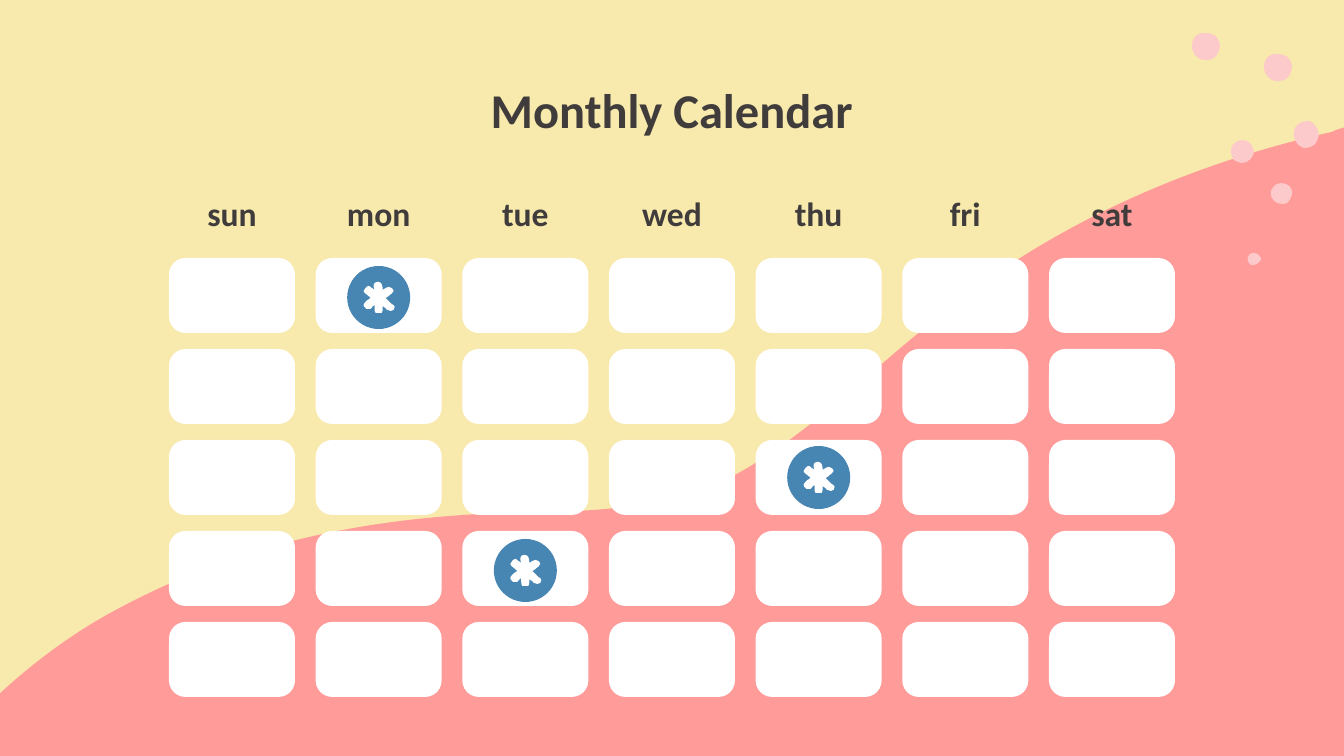
import pptx
import pptx.util
import pptx.dml.color
import pptx.enum.shapes
import pptx.enum.text
import pptx.oxml
import pptx.oxml.ns
import lxml.etree

SCALE = 9144000 / 1344
HEX = {"sand": "F8E9AC", "coral": "FF9B99", "blush": "FCCACA",
       "ink": "3F3C3B", "white": "FFFFFF", "blue": "4785B3"}
KIND = pptx.enum.shapes.MSO_SHAPE
FRAME = {"word_wrap": True,
         "vertical_anchor": pptx.enum.text.MSO_ANCHOR.BOTTOM}
FONT = {"name": "Calibri", "bold": True}
DAYS = ["sun", "mon", "tue", "wed", "thu", "fri", "sat"]
MARKS = [(1, 297), (4, 477), (2, 570)]

HILL = [[(1349, 126)],
        [(1344, 128), (1337, 129), (1332, 132)],
        [(1184, 165), (1043, 228), (926, 327)],
        [(870, 372), (817, 425), (754, 464)],
        [(691, 504), (617, 511), (543, 512)],
        [(466, 513), (390, 519), (314, 536)],
        [(242, 552), (171, 579), (105, 616)],
        [(66, 638), (28, 667), (-5, 698)],
        [(-5, 818)], [(1349, 818)]]
PEBBLE = [[(1277, 54)],
          [(1273, 54), (1269, 55), (1267, 58)],
          [(1263, 62), (1261, 77), (1275, 81)],
          [(1277, 81), (1278, 81), (1279, 81)],
          [(1292, 81), (1292, 66), (1292, 66)],
          [(1290, 56), (1284, 54), (1277, 54)]]
DOTS = [
    [[(1281, 183)],
     [(1274, 183), (1271, 191), (1271, 191)],
     [(1270, 200), (1276, 204), (1283, 204)],
     [(1285, 204), (1286, 203), (1287, 203)],
     [(1291, 200), (1297, 189), (1286, 184)],
     [(1284, 184), (1282, 183), (1281, 183)]],
    [[(1308, 121)],
     [(1301, 121), (1290, 126), (1295, 140)],
     [(1297, 145), (1302, 148), (1305, 148)],
     [(1310, 148), (1314, 145), (1314, 145)],
     [(1325, 134), (1314, 122), (1309, 121)],
     [(1309, 121), (1308, 121), (1308, 121)]],
    [[(1243, 140)],
     [(1240, 140), (1238, 141), (1236, 142)],
     [(1226, 149), (1234, 160), (1234, 160)],
     [(1236, 161), (1239, 163), (1242, 163)],
     [(1249, 163), (1254, 156), (1254, 152)],
     [(1254, 148), (1250, 140), (1243, 140)]],
    [[(1254, 253)],
     [(1253, 253), (1251, 253), (1250, 254)],
     [(1245, 258), (1249, 263), (1249, 263)],
     [(1250, 265), (1251, 265), (1253, 265)],
     [(1257, 265), (1261, 261), (1261, 259)],
     [(1261, 257), (1258, 253), (1254, 253)]],
    PEBBLE,
    [[(x - 72, y - 21) for x, y in row] for row in PEBBLE],
]
STAR = [[(0, -15)],
        [(-1, -15), (-3, -15), (-4, -14)], [(-4, -13), (-5, -12), (-5, -12)],
        [(-5, -11), (-5, -9), (-4, -7)], [(-5, -8), (-7, -9), (-7, -9)],
        [(-8, -10), (-9, -11), (-10, -11)], [(-11, -11), (-12, -10), (-13, -9)],
        [(-13, -8), (-15, -7), (-15, -6)], [(-15, -4), (-12, -3), (-8, 1)],
        [(-13, 4), (-15, 7), (-15, 8)], [(-15, 9), (-14, 11), (-13, 11)],
        [(-13, 12), (-12, 12), (-11, 12)], [(-10, 12), (-9, 12), (-8, 12)],
        [(-7, 10), (-5, 9), (-4, 8)], [(-4, 12)],
        [(-4, 13), (-4, 15), (-3, 16)], [(-2, 16), (-1, 16), (0, 16)],
        [(1, 16), (2, 16), (3, 16)], [(4, 15), (4, 13), (4, 12)], [(4, 9)],
        [(5, 10), (6, 11), (7, 11)], [(7, 12), (8, 13), (9, 13)],
        [(10, 14), (11, 14), (12, 14)], [(13, 14), (14, 14), (15, 13)],
        [(15, 12), (16, 11), (16, 10)], [(16, 9), (15, 8), (13, 7)],
        [(11, 4), (8, 3), (7, 1)], [(8, 1), (8, 0), (9, 0)],
        [(12, -3), (15, -4), (15, -6)], [(15, -7), (14, -8), (13, -9)],
        [(12, -10), (11, -10), (10, -10)], [(9, -10), (7, -9), (4, -7)],
        [(4, -9), (4, -11), (3, -13)], [(2, -14), (1, -15), (0, -15)]]


def px(n):
    return round(n * SCALE)


def tint(name):
    return pptx.dml.color.RGBColor.from_string(HEX[name])


def apply(item, style):
    for key, value in style.items():
        setattr(item, key, value)


def paint(shape, color):
    shape.shadow.inherit = False
    shape.fill.solid()
    shape.fill.fore_color.rgb = tint(color)
    shape.line.fill.background()


def blob(slide, rows, color):
    rows = [[(px(x), px(y)) for x, y in row] for row in rows]
    pen = slide.shapes.build_freeform(*rows[0][0], scale=1.0)
    pen.add_line_segments([row[-1] for row in rows[1:]], close=True)
    shape = pen.convert_to_shape()
    paint(shape, color)
    qn = pptx.oxml.ns.qn
    edges = list(shape._element.iter(qn("a:lnTo")))
    for edge, row in zip(edges, rows[1:]):
        if len(row) == 3:
            bend = lxml.etree.Element(qn("a:cubicBezTo"))
            for x, y in row:
                lxml.etree.SubElement(bend, qn("a:pt"), x=str(x - shape.left),
                                      y=str(y - shape.top))
            edge.getparent().replace(edge, bend)


def block(slide, kind, box, color):
    shape = slide.shapes.add_shape(kind, *map(px, box))
    paint(shape, color)
    return shape


def label(slide, text, box, size):
    frame = slide.shapes.add_textbox(*map(px, box)).text_frame
    apply(frame, FRAME)
    apply(frame, {"margin_" + side: px(13)
                  for side in ("left", "right", "top", "bottom")})
    line = frame.paragraphs[0]
    line.alignment = pptx.enum.text.PP_ALIGN.CENTER
    run = line.add_run()
    run.text = text
    apply(run.font, FONT)
    run.font.size = pptx.util.Pt(size)
    run.font.color.rgb = tint("ink")


def left(col):
    return 169 + col * 880 / 6


def badge(slide, col, y):
    x = left(col) + 63
    block(slide, KIND.OVAL, (x - 31.5, y - 31, 63, 63), "blue")
    blob(slide, [[(x + dx, y + dy) for dx, dy in row] for row in STAR], "white")


def main():
    deck = pptx.Presentation()
    apply(deck, {"slide_width": px(1344), "slide_height": px(756)})
    slide = deck.slides.add_slide(deck.slide_layouts[6])
    slide.background.fill.solid()
    slide.background.fill.fore_color.rgb = tint("sand")
    blob(slide, HILL, "coral")
    for dot in DOTS:
        blob(slide, dot, "blush")
    label(slide, "Monthly Calendar", (76, 82, 1192, 69), 26)
    for row in range(5):
        for col in range(7):
            box = (left(col), 258 + 91 * row, 126, 75)
            cell = block(slide, KIND.ROUNDED_RECTANGLE, box, "white")
            cell.adjustments[0] = 0.22
    for col, day in enumerate(DAYS):
        label(slide, day, (left(col) + 17, 200, 92, 46), 18)
    for col, y in MARKS:
        badge(slide, col, y)
    deck.save("out.pptx")


main()
